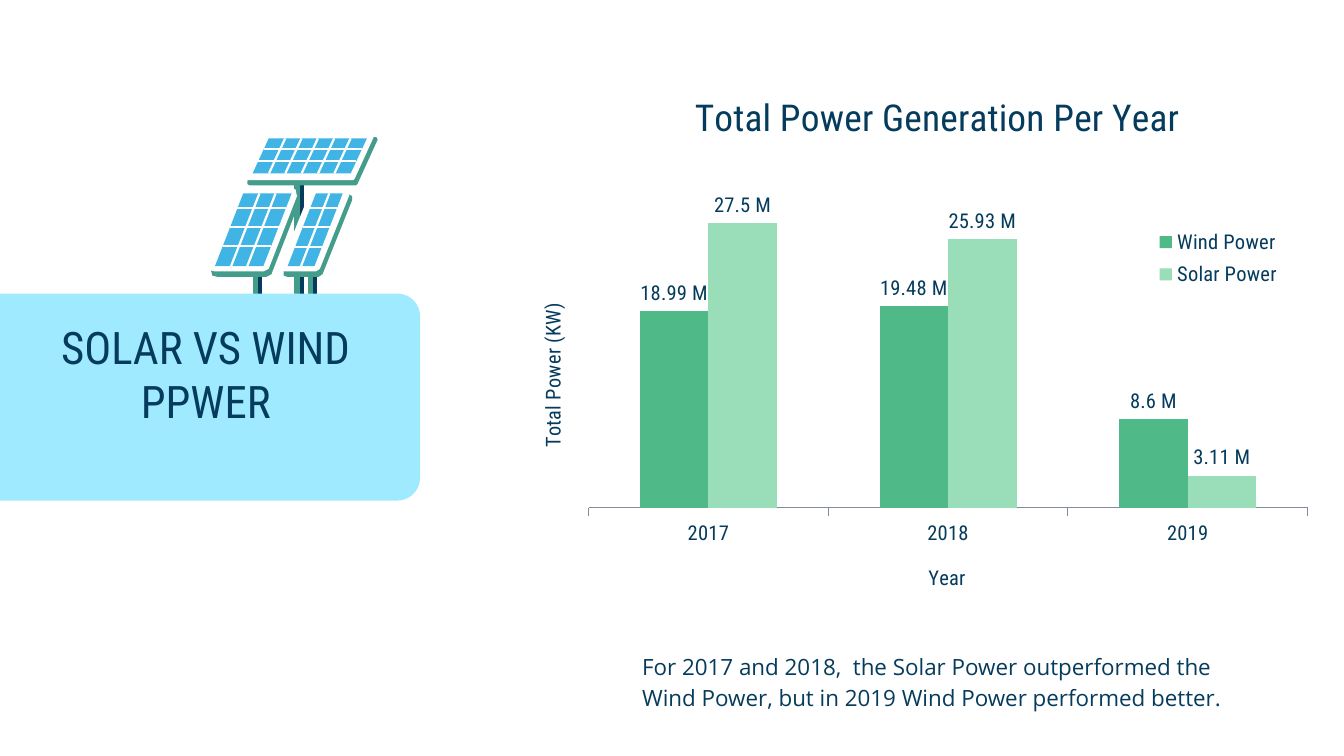
from lxml.etree import SubElement
from pptx import Presentation
from pptx.chart.data import CategoryChartData
from pptx.dml.color import RGBColor
from pptx.enum.chart import XL_CHART_TYPE, XL_LABEL_POSITION, XL_LEGEND_POSITION, XL_TICK_MARK
from pptx.enum.shapes import MSO_CONNECTOR, MSO_SHAPE
from pptx.enum.text import MSO_ANCHOR, PP_ALIGN
from pptx.oxml.ns import qn
from pptx.util import Pt

PX = 9144  # EMU per px, 100 px to the inch
CHART_WIDTH, CHART_HEIGHT = 605, 394
COLORS = {
    "navy": "053B5C", "teal": "439D8A", "blue": "40B4E5", "white": "FFFFFF",
    "banner": "9FEAFF", "wind": "50B988", "solar": "99DDB9", "axis": "828C9B",
}
COLORS = {name: RGBColor.from_string(value) for name, value in COLORS.items()}
HEADING_FONT = "Roboto Condensed"

presentation = Presentation()
presentation.slide_width = 1000 * PX
presentation.slide_height = presentation.slide_width * 9 // 16
slide = presentation.slides.add_slide(presentation.slide_layouts[6])
icon = slide.shapes.add_group_shape().shapes


def add_polygon(points, color):
    builder = icon.build_freeform(*points[0], scale=PX)
    builder.add_line_segments(points[1:], close=True)
    shape = builder.convert_to_shape()
    shape.shadow.inherit = False
    shape.fill.solid()
    shape.fill.fore_color.rgb = COLORS[color]
    shape.line.fill.background()


def set_layout(element, **lengths):
    """Place a chart part by px from the chart's top left corner."""
    for old_layout in element.findall(qn("c:layout")):
        element.remove(old_layout)
    layout = SubElement(element, qn("c:layout"))
    overlay = element.find(qn("c:overlay"))
    if overlay is None:
        element.insert(0, layout)
    else:
        overlay.addprevious(layout)
    manual = SubElement(layout, qn("c:manualLayout"))
    if "w" in lengths and overlay is None:
        SubElement(manual, qn("c:layoutTarget")).set("val", "inner")
    for side in ("x", "y"):
        SubElement(manual, qn(f"c:{side}Mode")).set("val", "edge")
    for side, length in lengths.items():
        whole = CHART_WIDTH if side in "xw" else CHART_HEIGHT
        SubElement(manual, qn(f"c:{side}")).set("val", str(length / whole))


# Posts of the solar panels, each with a dark right half
for left, top in ((188, 166), (219, 125), (229, 166)):
    for start, color in ((left, "teal"), (left + 4, "navy")):
        right, bottom = left + 7, top + 107
        add_polygon([(start, top), (right, top), (right, bottom), (start, bottom)], color)

# Solar panels: frame outline, cell area, number of columns, row divider heights
panels = [
    ([(181, 140), (217, 140), (220, 141), (221, 146), (200, 200),
      (196, 202), (160, 202), (156, 201), (155, 197), (177, 143)],
     [(181, 144), (217, 144), (196, 198), (160, 198)], 3, (155, 169, 183)),
    ([(234, 140), (257, 140), (260, 142), (260, 145), (238, 200),
      (235, 202), (212, 202), (209, 201), (209, 197), (231, 142)],
     [(235, 144), (255, 144), (234, 198), (214, 198)], 2, (155, 169, 184)),
    ([(199, 98), (278, 98), (279, 100), (264, 133), (263, 134),
      (184, 134), (182, 133), (182, 131), (197, 99)],
     [(200, 103), (273, 103), (261, 129), (188, 129)], 6, (111, 120)),
]
for frame, cells, columns, rows in panels:
    add_polygon([(x + 2, y + 4) for x, y in frame], "teal")
for frame, cells, columns, rows in panels:
    add_polygon(frame, "white")
    add_polygon(cells, "blue")
    (left, top), (right, _), (_, bottom), (bottom_left, _) = cells
    dividers = []
    for column in range(1, columns):
        offset = (right - left) * column / columns
        dividers.append((left + offset, top, bottom_left + offset, bottom))
    for y in rows:
        x = left + (bottom_left - left) * (y - top) / (bottom - top)
        dividers.append((x, y, x + right - left, y))
    for divider in dividers:
        ends = [round(length * PX) for length in divider]
        connector = icon.add_connector(MSO_CONNECTOR.STRAIGHT, *ends)
        connector.line.color.rgb = COLORS["white"]
        connector.line.width = Pt(1.2)
        SubElement(connector._element.spPr, qn("a:effectLst"))

# Banner, its rounded end turned to the right
banner = slide.shapes.add_shape(
    MSO_SHAPE.ROUND_2_SAME_RECTANGLE, 79 * PX, 139 * PX, 154 * PX, 313 * PX)
banner.rotation = 90
banner.adjustments[0] = 0.11
banner.shadow.inherit = False
banner.fill.solid()
banner.fill.fore_color.rgb = COLORS["banner"]
banner.line.fill.background()

# Title and comment
texts = [
    ("For 2017 and 2018,  the Solar Power outperformed the Wind Power, "
     "but in 2019 Wind Power performed better.",
     (468, 473, 486, 73), "Open Sans", 12, 1.15, PP_ALIGN.LEFT, MSO_ANCHOR.TOP),
    ("SOLAR VS WIND PPWER",
     (-6, 261, 318, 67), HEADING_FONT, 24, 1.0, PP_ALIGN.CENTER, MSO_ANCHOR.BOTTOM),
]
for text, box, font_name, size, spacing, alignment, anchor in texts:
    text_frame = slide.shapes.add_textbox(*[length * PX for length in box]).text_frame
    text_frame.word_wrap = True
    text_frame.vertical_anchor = anchor
    text_frame.margin_left = text_frame.margin_right = 10 * PX
    text_frame.margin_top = text_frame.margin_bottom = 10 * PX
    paragraph = text_frame.paragraphs[0]
    paragraph.text = text
    paragraph.alignment = alignment
    paragraph.line_spacing = spacing
    paragraph.font.name = font_name
    paragraph.font.size = Pt(size)
    paragraph.font.color.rgb = COLORS["navy"]

# Chart
chart_data = CategoryChartData()
chart_data.categories = ["2017", "2018", "2019"]
chart_data.add_series("Wind Power", (18990000, 19480000, 8600000))
chart_data.add_series("Solar Power", (27500000, 25930000, 3110000))
chart = slide.shapes.add_chart(
    XL_CHART_TYPE.COLUMN_CLUSTERED, 395 * PX, 50 * PX,
    CHART_WIDTH * PX, CHART_HEIGHT * PX, chart_data).chart
chart.font.name = HEADING_FONT
chart.font.size = Pt(11)
chart.font.color.rgb = COLORS["navy"]
set_layout(chart._chartSpace.chart.plotArea, x=43, y=98, w=535, h=234)

# Columns and their labels
plot = chart.plots[0]
plot.gap_width = 150
plot.overlap = 0
plot.vary_by_categories = False
for series, color in zip(plot.series, ("wind", "solar")):
    series.format.fill.solid()
    series.format.fill.fore_color.rgb = COLORS[color]
    labels = series.data_labels
    labels.show_value = True
    labels.position = XL_LABEL_POSITION.OUTSIDE_END
    labels.number_format = '#.##,,\\ "M"'
    labels.number_format_is_linked = False

# Axes
value_axis, category_axis = chart.value_axis, chart.category_axis
value_axis.visible = False
value_axis.has_major_gridlines = False
value_axis.minimum_scale, value_axis.maximum_scale = 0, 30000000
category_axis.major_tick_mark = XL_TICK_MARK.OUTSIDE
category_axis.format.line.color.rgb = COLORS["axis"]
category_axis.format.line.width = Pt(0.5)

# Chart and axis titles
for owner, text, size, x, y in (
    (chart, "Total Power Generation Per Year", 20, 117, 14),
    (category_axis, "Year", 11, 293, 371),
    (value_axis, "Total Power (KW)", 11, 3, 176),
):
    title = owner.chart_title if owner is chart else owner.axis_title
    title.text_frame.text = text
    font = title.text_frame.paragraphs[0].font
    font.name = HEADING_FONT
    font.size = Pt(size)
    font.bold = False
    font.color.rgb = COLORS["navy"]
    set_layout(title._element, x=x, y=y)

# Legend
chart.has_legend = True
chart.legend.position = XL_LEGEND_POSITION.RIGHT
chart.legend.include_in_layout = False
set_layout(chart.legend._element, x=463, y=117, w=97, h=54)

presentation.save("out.pptx")
